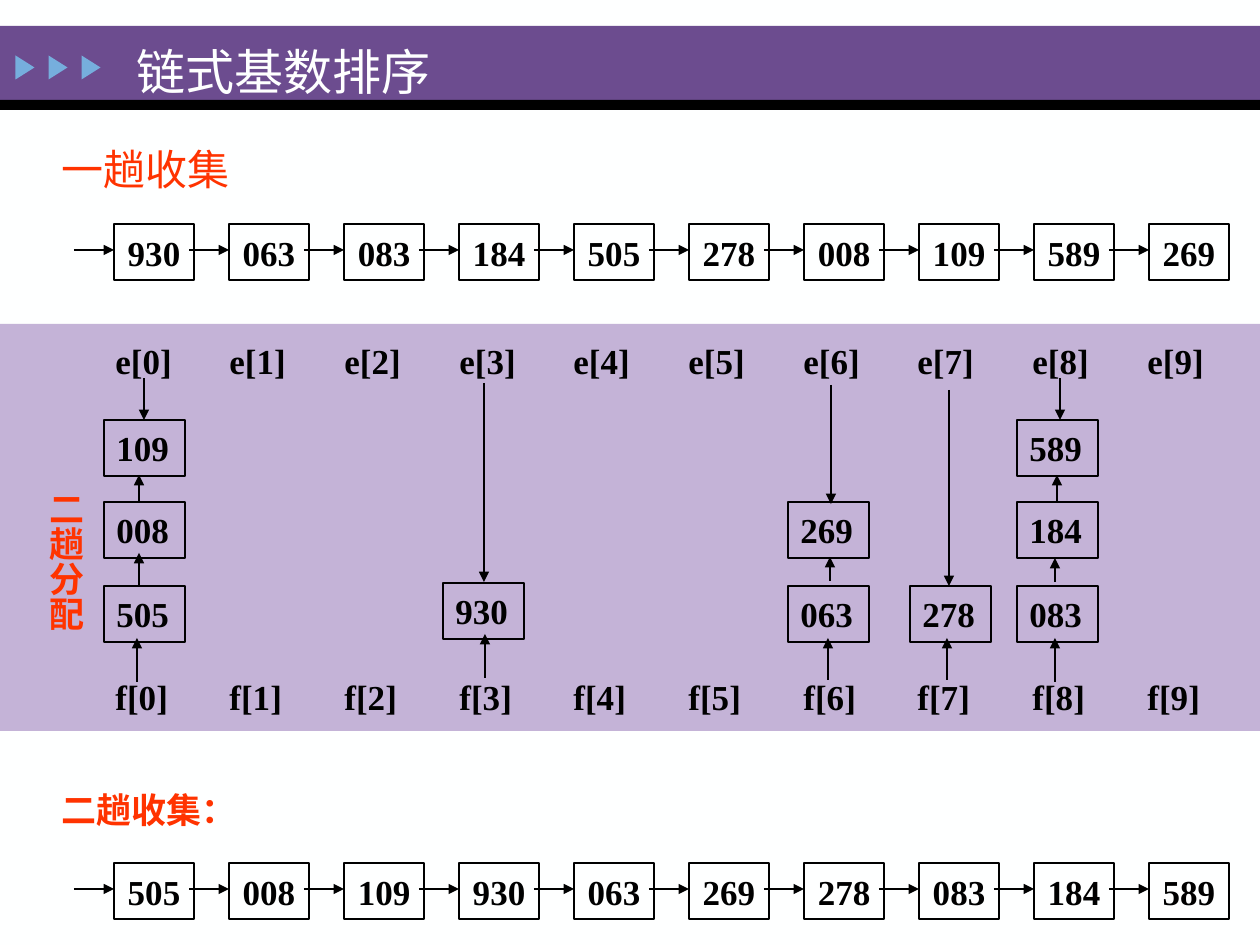
import pptx
import pptx.dml.color
import pptx.enum.shapes
import pptx.enum.text
import pptx.oxml
import pptx.oxml.ns
import pptx.util

PX = 914400 / 126  # EMU in one px
SHAPES = pptx.enum.shapes.MSO_SHAPE
BLACK, WHITE, RED = "000000", "FEFFFF", "FF3300"
PURPLE, LILAC, BLUE = "6C4C8F", "C4B3D7", "76AEDD"
BOX_HEIGHT = 56

FIRST_PASS = "930 063 083 184 505 278 008 109 589 269".split()
SECOND_PASS = "505 008 109 930 063 269 278 083 184 589".split()

# Each queue: box left, [(key, box top)], [(arrow x from box left, from y, to y)]
QUEUES = [
    (104, [("109", 96), ("008", 178), ("505", 262)],
     [(40, 54, 96), (35, 177, 151), (35, 261, 229), (33, 358, 314)]),
    (443, [("930", 259)], [(41, 59, 258), (42, 354, 310)]),
    (788, [("269", 178), ("063", 262)],
     [(43, 61, 180), (42, 257, 233), (40, 356, 314)]),
    (910, [("278", 262)], [(39, 66, 262), (37, 356, 314)]),
    (1017, [("589", 96), ("184", 178), ("083", 262)],
     [(43, 54, 96), (40, 177, 151), (38, 258, 234), (38, 358, 314)]),
]


def emu(*lengths):
    return [pptx.util.Emu(round(length * PX)) for length in lengths]


def color(value):
    return pptx.dml.color.RGBColor.from_string(value)


def write(shape, text, size=20, fill=BLACK, bold=True, wrap=False):
    shape.text_frame.word_wrap = wrap
    paragraph = shape.text_frame.paragraphs[0]
    paragraph.text = text
    paragraph.font.name = "Times New Roman"
    paragraph.font.size = pptx.util.Pt(size)
    paragraph.font.bold = bold
    paragraph.font.color.rgb = color(fill)
    return paragraph


def add_label(slide, box, text, **style):
    label = slide.shapes.add_textbox(*emu(*box))
    write(label, text, **style)
    return label


def add_filled(slide, kind, box, fill):
    shape = slide.shapes.add_shape(kind, *emu(*box))
    shape.shadow.inherit = False
    shape.fill.solid()
    shape.fill.fore_color.rgb = color(fill)
    shape.line.fill.background()
    return shape


def add_key_box(slide, box, key, centered):
    shape = slide.shapes.add_shape(SHAPES.RECTANGLE, *emu(*box))
    shape.shadow.inherit = False
    shape.fill.background()
    shape.line.color.rgb = color(BLACK)
    shape.line.width = pptx.util.Pt(0.75)
    paragraph = write(shape, key, wrap=not centered)
    anchors, aligns = pptx.enum.text.MSO_ANCHOR, pptx.enum.text.PP_ALIGN
    shape.text_frame.vertical_anchor = anchors.MIDDLE if centered else anchors.TOP
    paragraph.alignment = aligns.CENTER if centered else aligns.LEFT


def add_arrow(slide, start_x, start_y, end_x, end_y):
    arrow = slide.shapes.add_connector(
        pptx.enum.shapes.MSO_CONNECTOR.STRAIGHT,
        *emu(start_x, start_y, end_x, end_y))
    arrow.line.color.rgb = color(BLACK)
    arrow.line.width = pptx.util.Pt(0.75)
    head = pptx.oxml.parse_xml(
        f'<a:tailEnd {pptx.oxml.ns.nsdecls("a")} type="triangle"/>')
    arrow.line._get_or_add_ln().append(head)
    effects = pptx.oxml.parse_xml(f'<a:effectLst {pptx.oxml.ns.nsdecls("a")}/>')
    arrow._element.spPr.append(effects)


def add_header(slide, left, top, width, height):
    add_filled(slide, SHAPES.RECTANGLE, (left, top, width, height), PURPLE)
    add_filled(slide, SHAPES.RECTANGLE, (left, top + height, width, 10), BLACK)
    for index in range(3):
        triangle = add_filled(slide, SHAPES.ISOSCELES_TRIANGLE,
                              (left + 13 + 33 * index, top + 32, 24, 19), BLUE)
        triangle.rotation = 90
    title = add_label(slide, (left + 124, top - 5, 323, 81), "链式基数排序",
                      size=28, fill=WHITE, bold=False, wrap=True)
    title.text_frame.paragraphs[0].line_spacing = 1.25


def add_chain(slide, left, top, keys):
    """Linked list of keys, each box entered by an arrow."""
    pitch, lead = 115, 40
    for index, key in enumerate(keys):
        box_left = left + lead + pitch * index
        add_key_box(slide, (box_left, top, 80, BOX_HEIGHT), key, centered=True)
        add_arrow(slide, box_left - lead, top + 26, box_left, top + 26)


def add_distribution(slide, left, top, width, height):
    add_filled(slide, SHAPES.RECTANGLE, (left, top, width, height), LILAC)
    # Head and tail labels of the ten queues
    for name, offset in (("e", 9), ("f", 345)):
        for index in range(10):
            label_left = left + 103 + 1032 * index // 9
            add_label(slide, (label_left, top + offset, 82, 54), f"{name}[{index}]")
    # Vertical caption
    caption = add_label(slide, (left + 25, top + 155, 68, 154), "二趟分配", fill=RED)
    caption.text_frame._txBody.bodyPr.set("vert", "eaVert")
    # Filled queues
    for queue_left, boxes, arrows in QUEUES:
        box_left = left + queue_left
        for key, offset in boxes:
            add_key_box(slide, (box_left, top + offset, 81, BOX_HEIGHT), key,
                        centered=False)
        for x, start, end in arrows:
            add_arrow(slide, box_left + x, top + start, box_left + x, top + end)


def main():
    presentation = pptx.Presentation()
    presentation.slide_width, presentation.slide_height = emu(1260, 945)
    slide = presentation.slides.add_slide(presentation.slide_layouts[6])
    slide.background.fill.solid()
    slide.background.fill.fore_color.rgb = color(WHITE)

    add_header(slide, 0, 26, 1260, 74)
    # First collection
    add_label(slide, (49, 137, 194, 63), "一趟收集", size=24, fill=RED, bold=False)
    add_chain(slide, 74, 224, FIRST_PASS)
    # Second distribution
    add_distribution(slide, 0, 324, 1260, 407)
    # Second collection
    add_label(slide, (49, 782, 202, 54), "二趟收集：", fill=RED)
    add_chain(slide, 74, 863, SECOND_PASS)

    presentation.save("out.pptx")


if __name__ == "__main__":
    main()
